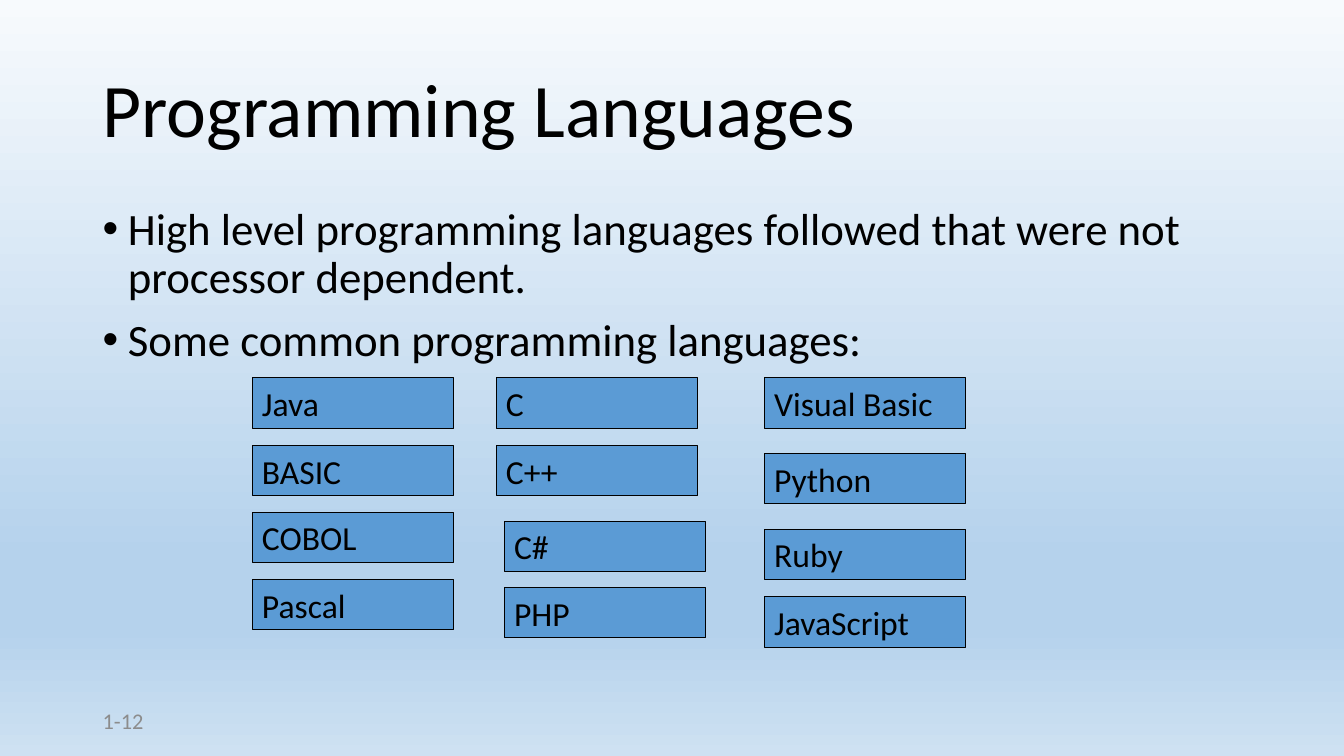
import pptx
import pptx.dml.color
import pptx.enum.shapes
import pptx.enum.text
import pptx.oxml
import pptx.oxml.ns
import pptx.util
from pptx.util import Inches

FONT = "Calibri"
BLACK = "000000"
BACKGROUND_STOPS = [(0, "F7FAFD"), (74, "B5D2EC"), (83, "B5D2EC"), (100, "CEE1F2")]
STATEMENTS = [
    "High level programming languages followed that were not processor dependent.",
    "Some common programming languages:",
]
LANGUAGES = [
    ("Java", 2.5, 3.75),
    ("BASIC", 2.5, 4.42),
    ("COBOL", 2.5, 5.08),
    ("Pascal", 2.5, 5.75),
    ("C", 4.92, 3.75),
    ("C++", 4.92, 4.42),
    ("C#", 5, 5.17),
    ("PHP", 5, 5.83),
    ("Visual Basic", 7.58, 3.75),
    ("Python", 7.58, 4.5),
    ("Ruby", 7.58, 5.25),
    ("JavaScript", 7.58, 5.92),
]


def color(value):
    return pptx.dml.color.RGBColor.from_string(value)


def paint_background(slide):
    fill = slide.background.fill
    fill.gradient()
    fill.gradient_angle = 270
    stops = slide.element.find(".//" + pptx.oxml.ns.qn("a:gsLst"))
    for stop in list(stops):
        stops.remove(stop)
    for percent, value in BACKGROUND_STOPS:
        stops.append(pptx.oxml.parse_xml(
            f'<a:gs {pptx.oxml.ns.nsdecls("a")} pos="{percent * 1000}">'
            f'<a:srgbClr val="{value}"/></a:gs>'))


def format_text(paragraph, size, value=BLACK):
    paragraph.alignment = pptx.enum.text.PP_ALIGN.LEFT
    for run in paragraph.runs:
        run.font.name = FONT
        run.font.size = pptx.util.Pt(size)
        run.font.color.rgb = color(value)


def add_text(slide, lines, left, top, width, height, size, value=BLACK, anchor="MIDDLE"):
    frame = slide.shapes.add_textbox(
        Inches(left), Inches(top), Inches(width), Inches(height)).text_frame
    frame.word_wrap = True
    frame.vertical_anchor = pptx.enum.text.MSO_ANCHOR[anchor]
    frame.text = "\n".join(lines)
    for paragraph in frame.paragraphs:
        format_text(paragraph, size, value)
    return frame


def add_bullet(paragraph):
    paragraph.line_spacing = 0.9
    paragraph.space_before = pptx.util.Pt(10)
    properties = paragraph._p.get_or_add_pPr()
    properties.set("marL", str(Inches(0.25)))
    properties.set("indent", str(-Inches(0.25)))
    namespace = pptx.oxml.ns.nsdecls("a")
    properties.append(pptx.oxml.parse_xml(f'<a:buFont {namespace} typeface="Arial"/>'))
    properties.append(pptx.oxml.parse_xml(f'<a:buChar {namespace} char="•"/>'))


def add_language(slide, name, left, top):
    box = slide.shapes.add_shape(
        pptx.enum.shapes.MSO_SHAPE.RECTANGLE,
        Inches(left), Inches(top), Inches(2), Inches(0.5))
    box.shadow.inherit = False
    box.fill.solid()
    box.fill.fore_color.rgb = color("5B9BD5")
    box.line.color.rgb = color(BLACK)
    box.line.width = pptx.util.Pt(0.75)
    frame = box.text_frame
    frame.word_wrap = True
    frame.auto_size = pptx.enum.text.MSO_AUTO_SIZE.SHAPE_TO_FIT_TEXT
    frame.vertical_anchor = pptx.enum.text.MSO_ANCHOR.TOP
    frame.text = name
    format_text(frame.paragraphs[0], 24)


def main():
    deck = pptx.Presentation()
    deck.slide_width = Inches(13.33)
    deck.slide_height = Inches(7.5)
    slide = deck.slides.add_slide(deck.slide_layouts[6])
    paint_background(slide)
    add_text(slide, ["1-12"], 0.92, 6.95, 3, 0.4, 16, "8C8C8C")
    title = add_text(slide, ["Programming Languages"], 0.92, 0.4, 11.5, 1.45, 54)
    title.paragraphs[0].line_spacing = 0.9
    statements = add_text(slide, STATEMENTS, 0.92, 2, 11.5, 4.76, 32, anchor="TOP")
    for paragraph in statements.paragraphs:
        add_bullet(paragraph)
    for name, left, top in LANGUAGES:
        add_language(slide, name, left, top)
    deck.save("out.pptx")


if __name__ == "__main__":
    main()
